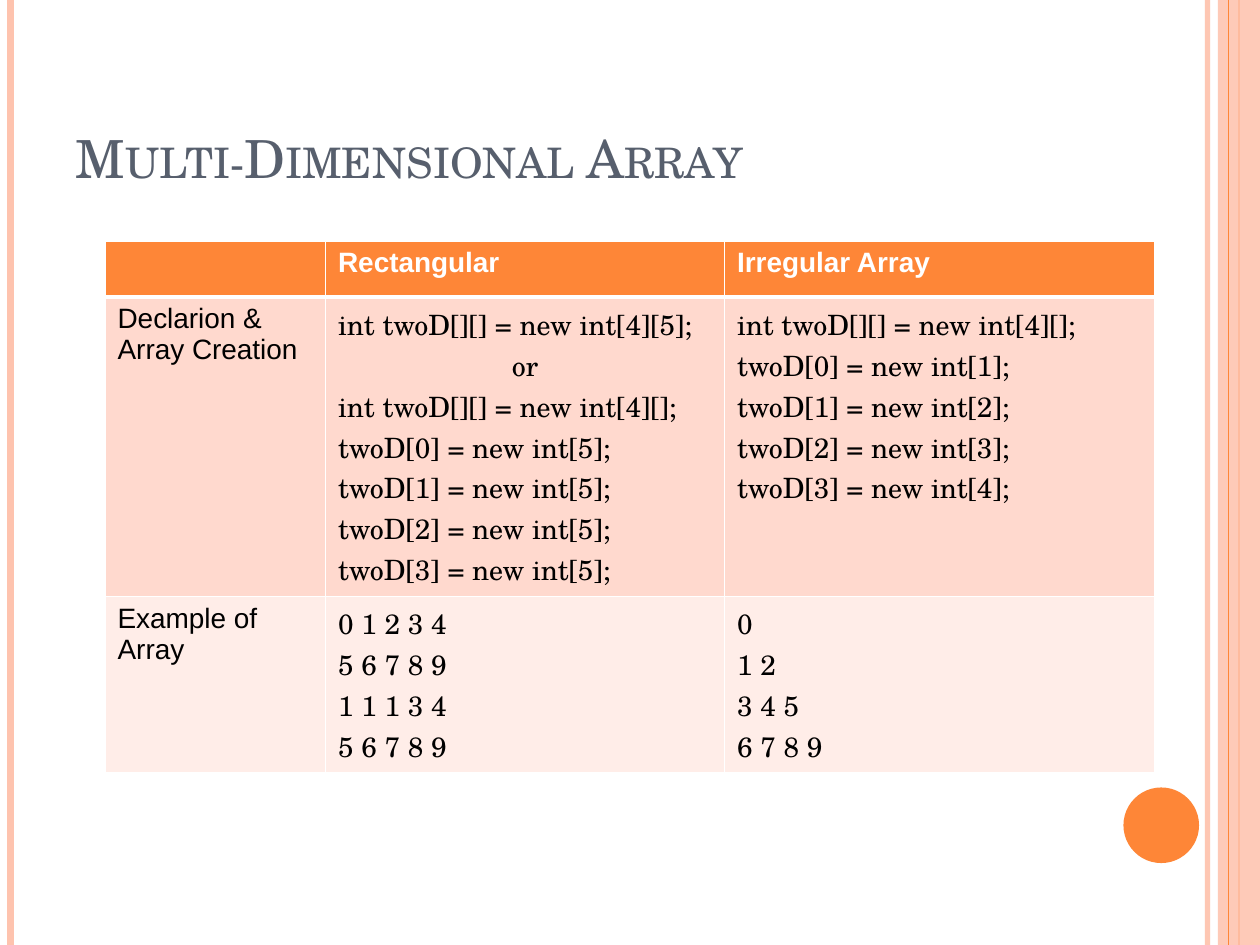
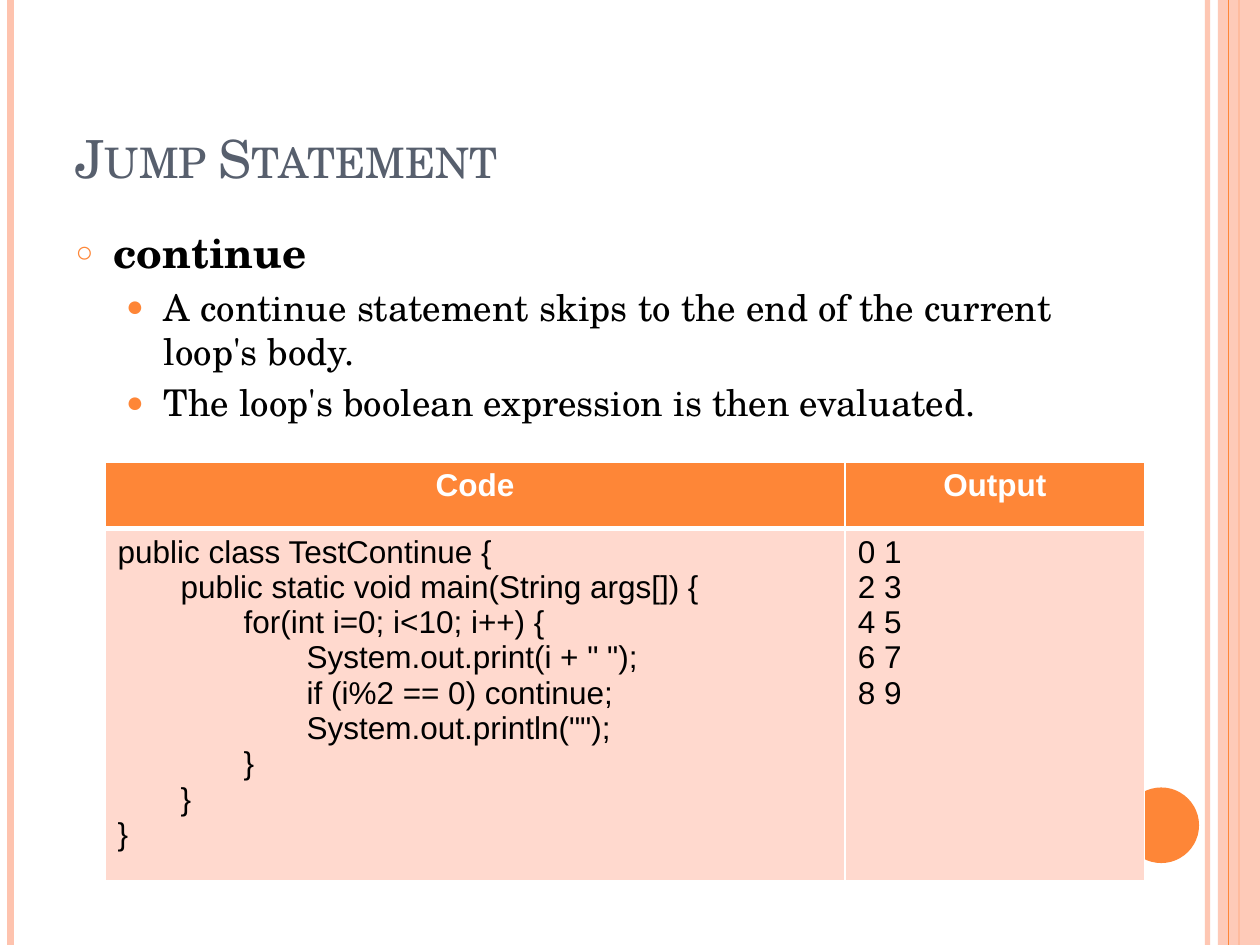
from collections import namedtuple
from dataclasses import dataclass

from lxml import etree
from pptx import Presentation
from pptx.dml.color import RGBColor
from pptx.enum.shapes import MSO_CONNECTOR as Connector, MSO_SHAPE as Preset
from pptx.enum.text import MSO_ANCHOR as Anchor, MSO_AUTO_SIZE as AutoSize, PP_ALIGN as Align
from pptx.oxml.ns import qn
from pptx.util import Inches, Pt


@dataclass(frozen=True)
class Theme:
    serif: str = "TeX Gyre Schola"
    sans: str = "Arial"
    accent: str = "FE8637"
    tint: str = "FEC3AE"
    heading: str = "575F6D"
    ink: str = "000000"
    paper: str = "FFFFFF"
    bands: tuple = ("FFD9CE", "FFEDE8")
    title_size: float = 30
    topic_size: float = 24
    point_size: float = 21


THEME = Theme()
COLUMNS, ROWS = 120, 90          # the slide grid: twelve units to the inch
Box = namedtuple("Box", "left top width height")
Line = namedtuple("Line", "text level align", defaults=(0, Align.LEFT))
Cell = namedtuple("Cell", "lines font", defaults=(THEME.sans,))
Bullet = namedtuple("Bullet", "character percent indent size bold gap")

BULLETS = (
    Bullet("○", 70, 0.3, THEME.topic_size, True, 6),
    Bullet("●", 80, 0.7, THEME.point_size, False, 4.2),
)


def grid(units):
    return Inches(units / 12)


def place(shape, box):
    shape.left, shape.top, shape.width, shape.height = map(grid, box)


def color(value):
    return RGBColor.from_string(value)


def add_child(parent, tag, **attributes):
    child = etree.SubElement(parent, qn(tag))
    for name, value in attributes.items():
        child.set(name, str(value))
    return child


def set_opacity(shape, percent):
    for node in shape.element.spPr.iter(qn("a:srgbClr")):
        add_child(node, "a:alpha", val=percent * 1000)


def add_run(paragraph, text, font, size, ink, bold=False):
    run = paragraph.add_run()
    run.text = text
    run.font.name, run.font.size, run.font.bold = font, Pt(size), bold
    run.font.color.rgb = color(ink)
    return run


# Side bands and corner disc, shared through the master
def add_rule(slide, column, ink, weight, opacity=100):
    rule = slide.shapes.add_connector(
        Connector.STRAIGHT, grid(column), 0, grid(column), grid(ROWS))
    rule.line.color.rgb = color(ink)
    rule.line.width = Pt(weight)
    if opacity < 100:
        set_opacity(rule, opacity)
    add_child(rule.element.spPr, "a:effectLst")
    return rule


def add_solid(slide, preset, box, ink):
    shape = slide.shapes.add_shape(preset, *map(grid, box))
    shape.shadow.inherit = False
    shape.fill.solid()
    shape.fill.fore_color.rgb = color(ink)
    shape.line.fill.background()
    return shape


def decorate_master(presentation, slide):
    band = Box(116, 0, COLUMNS - 116, ROWS)
    parts = [
        add_rule(slide, 115, THEME.tint, 3, 93),
        add_rule(slide, 1, THEME.tint, 4.5),
        add_rule(slide, 118, THEME.accent, 1.5),
        add_solid(slide, Preset.RECTANGLE, band, THEME.tint),
        add_rule(slide, 117, THEME.accent, 0.75),
        add_solid(slide, Preset.OVAL, Box(107, 75, 7.2, 7.2), THEME.accent),
    ]
    set_opacity(parts[3], 87)
    tree = presentation.slide_master.shapes.element
    for number, part in enumerate(parts):
        part.element.xpath(".//p:cNvPr")[0].set("id", str(100 + number))
        tree.insert(2 + number, part.element)


# Title
def fill_title(slide, text):
    title = slide.shapes.title
    place(title, Box(6, 3.6, 98, 15))
    frame = title.text_frame
    frame.auto_size, frame.vertical_anchor = AutoSize.NONE, Anchor.BOTTOM
    paragraph = frame.paragraphs[0]
    paragraph.alignment = Align.LEFT
    run = add_run(paragraph, text, THEME.serif, THEME.title_size, THEME.heading)
    run.font._element.set("cap", "small")


# Bulleted list
def fill_body(slide, box, lines):
    body = slide.placeholders[1]
    place(body, box)
    frame = body.text_frame
    frame.auto_size = AutoSize.NONE
    for index, line in enumerate(lines):
        bullet = BULLETS[line.level]
        paragraph = frame.add_paragraph() if index else frame.paragraphs[0]
        paragraph.level = line.level
        paragraph.space_before = Pt(bullet.gap)
        properties = paragraph._p.get_or_add_pPr()
        properties.set("marL", str(Inches(bullet.indent)))
        properties.set("indent", str(Inches(-0.3)))
        add_child(add_child(properties, "a:buClr"), "a:srgbClr", val=THEME.accent)
        add_child(properties, "a:buSzPct", val=bullet.percent * 1000)
        add_child(properties, "a:buChar", char=bullet.character)
        add_run(paragraph, line.text, THEME.serif, bullet.size, THEME.ink, bullet.bold)


# Table with an accent header and tinted rows
def style_cell(cell, row):
    properties = cell._tc.get_or_add_tcPr()
    weights = {"L": 1, "R": 1, "T": 3 if row == 1 else 1, "B": 1 if row else 3}
    for side, weight in weights.items():
        border = add_child(properties, f"a:ln{side}", w=Pt(weight))
        add_child(add_child(border, "a:solidFill"), "a:srgbClr", val=THEME.paper)
    cell.fill.solid()
    cell.fill.fore_color.rgb = color(THEME.bands[(row - 1) % 2] if row else THEME.accent)


def write_cell(cell, content, size, header):
    frame = cell.text_frame
    for index, line in enumerate(content.lines):
        paragraph = frame.add_paragraph() if index else frame.paragraphs[0]
        paragraph.alignment = line.align
        if line.level:
            paragraph.level = line.level
            paragraph._p.get_or_add_pPr().set("marL", str(Inches(line.level / 2)))
        add_run(paragraph, line.text, content.font, size,
                THEME.paper if header else THEME.ink, header)


def add_grid_table(slide, left, top, widths, heights, rows, size):
    box = Box(left, top, sum(widths), sum(heights))
    table = slide.shapes.add_table(len(heights), len(widths), *map(grid, box)).table
    table.horz_banding = False
    for column, width in zip(table.columns, widths):
        column.width = grid(width)
    for row, height in zip(table.rows, heights):
        row.height = grid(height)
    for row, contents in enumerate(rows):
        for column, content in enumerate(contents):
            cell = table.cell(row, column)
            style_cell(cell, row)
            write_cell(cell, content, size, header=row == 0)


def label(text, align=Align.LEFT):
    return Cell([Line(text, 0, align)])


def listing(*lines):
    lines = [line if isinstance(line, Line) else Line(line) for line in lines]
    return Cell(lines, THEME.serif)


def assignments(lengths):
    return [f"twoD[{row}] = new int[{length}];" for row, length in enumerate(lengths)]


# Slides
def build_array_slide(slide):
    fill_title(slide, "Multi-Dimensional Array")
    declaration = "int twoD[][] = new int[4][];"
    rows = [
        [Cell([]), label("Rectangular"), label("Irregular Array")],
        [label("Declarion & Array Creation"),
         listing("int twoD[][] = new int[4][5];", Line("or", 0, Align.CENTER),
                 declaration, *assignments([5] * 4)),
         listing(declaration, *assignments(range(1, 5)))],
        [label("Example of Array"),
         listing("0 1 2 3 4", "5 6 7 8 9", "1 1 1 3 4", "5 6 7 8 9"),
         listing("0", "1 2", "3 4 5", "6 7 8 9")],
    ]
    add_grid_table(slide, 10, 23, (21, 38, 41), (5.3, 23.6, 14), rows, size=16)


def build_jump_slide(slide):
    fill_title(slide, "Jump Statement")
    fill_body(slide, Box(6, 21, 98, 64), [
        Line("continue"),
        Line("A continue statement skips to the end of the current loop's body.", 1),
        Line("The loop's boolean expression is then evaluated.", 1),
    ])
    code = [
        Line("public class TestContinue {"),
        Line("public static void main(String args[]) {", 1),
        Line("for(int i=0; i<10; i++) {", 2),
        Line('System.out.print(i + " ");', 3),
        Line("if (i%2 == 0) continue;", 3),
        Line('System.out.println("");', 3),
        Line("}", 2),
        Line("}", 1),
        Line("}"),
    ]
    output = [Line(f"{number} {number + 1}") for number in range(0, 10, 2)]
    rows = [[label("Code", Align.CENTER), label("Output", Align.CENTER)],
            [Cell(code), Cell(output)]]
    add_grid_table(slide, 10, 44, (70.5, 28.5), (6.32, 33.6), rows, size=18)


presentation = Presentation()
presentation.slide_width, presentation.slide_height = grid(COLUMNS), grid(ROWS)
layouts = presentation.slide_layouts
array_slide = presentation.slides.add_slide(layouts.get_by_name("Title Only"))
jump_slide = presentation.slides.add_slide(layouts.get_by_name("Title and Content"))
decorate_master(presentation, array_slide)
build_array_slide(array_slide)
build_jump_slide(jump_slide)
presentation.save("out.pptx")
